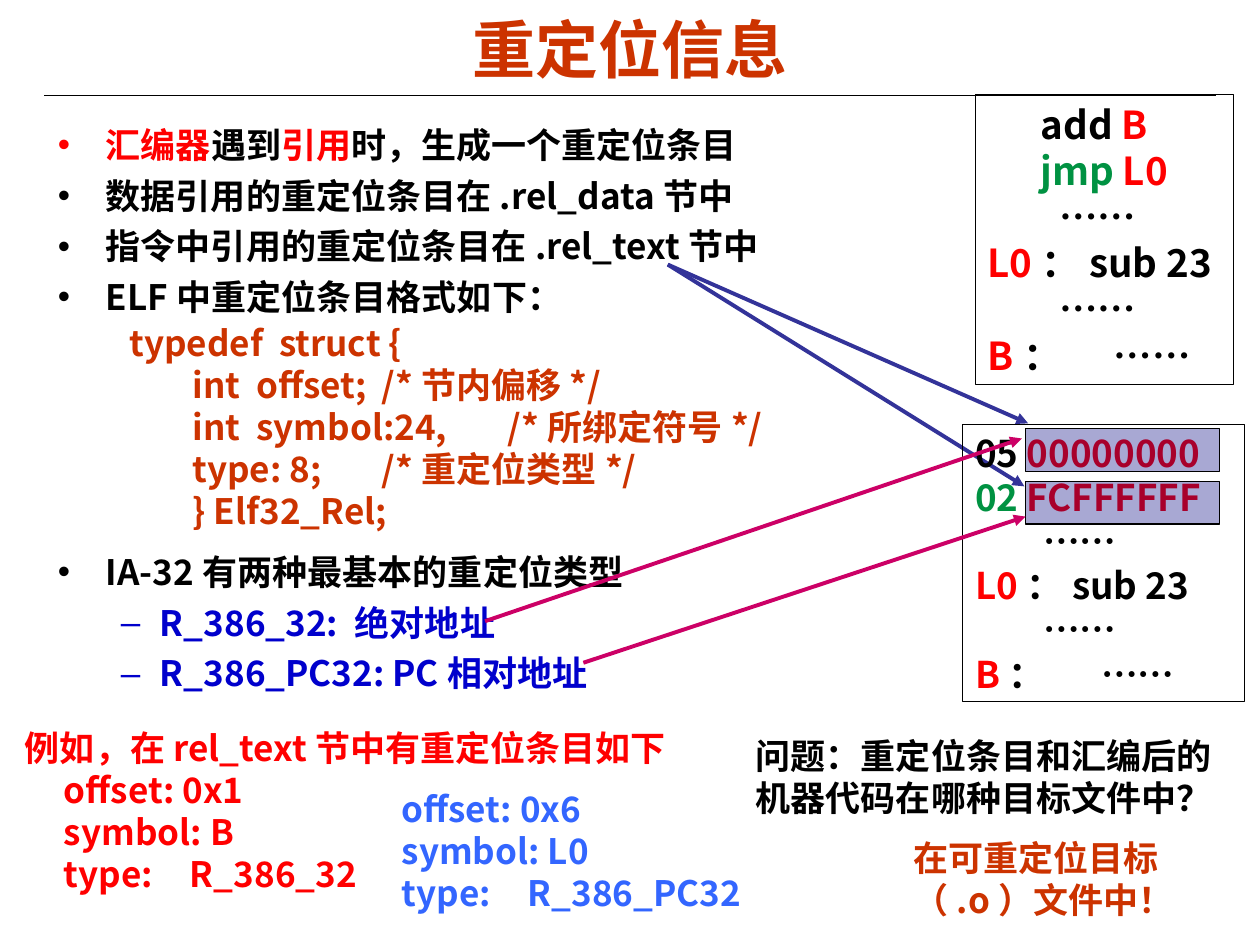
from lxml import etree
from pptx import Presentation
from pptx import util as u
from pptx.dml.color import RGBColor
from pptx.enum import shapes, text
from pptx.oxml import ns

COLORS = {"black": "000000", "red": "FF0000", "rust": "CC3300", "blue": "0000CC",
          "sky": "3366FF", "green": "009242", "navy": "000080", "indigo": "333399",
          "magenta": "CC0066"}
COLS, ROWS = 100, 75
CJK = "Noto Sans CJK SC"


def rgb(name):
    return RGBColor.from_string(COLORS[name])


def add_xml(parent, tag, **attrs):
    return etree.SubElement(parent, ns.qn(tag), attrs)


class Deck:
    def __init__(self, width=10, height=7.5):
        self.prs = Presentation()
        self.prs.slide_width, self.prs.slide_height = u.Inches(width), u.Inches(height)
        self.s = self.prs.slides.add_slide(self.prs.slide_layouts[1])
        self.style = {"size": u.Pt(20), "bold": True, "name": CJK}

    def x(self, cols):
        return int(self.prs.slide_width * cols / COLS)

    def y(self, rows):
        return int(self.prs.slide_height * rows / ROWS)

    def area(self, left, top, width, height):
        return self.x(left), self.y(top), self.x(width), self.y(height)

    def place(self, sp, area):
        for name, value in zip(("left", "top", "width", "height"), self.area(*area)):
            setattr(sp, name, value)

    def frame(self, sp, anchor=text.MSO_ANCHOR.TOP):
        tf = sp.text_frame
        values = {"word_wrap": True, "auto_size": text.MSO_AUTO_SIZE.NONE,
                  "vertical_anchor": anchor, "margin_left": self.x(1),
                  "margin_right": self.x(1), "margin_top": self.y(0.5),
                  "margin_bottom": self.y(0.5)}
        for name, value in values.items():
            setattr(tf, name, value)
        return tf

    def para(self, tf, runs, first, before=0, indent=0, hang=0, bullet=None,
             tabs=(), align=text.PP_ALIGN.LEFT, level=0, **fmt):
        p = tf.paragraphs[0] if first else tf.add_paragraph()
        p.level, p.alignment = level, align
        p.space_before = u.Pt(0 if first else before)
        pPr = p._p.get_or_add_pPr()
        pPr.set("marL", str(self.x(indent)))
        pPr.set("indent", str(-self.x(hang)))
        if bullet:
            char, color = bullet
            add_xml(add_xml(pPr, "a:buClr"), "a:srgbClr", val=COLORS[color])
            add_xml(pPr, "a:buChar", char=char)
        if tabs:
            stops = add_xml(pPr, "a:tabLst")
            for pos in tabs:
                add_xml(stops, "a:tab", pos=str(self.x(pos)), algn="l")
        for words, color in runs:
            r = p.add_run()
            r.text = words
            for name, value in {**self.style, **fmt}.items():
                setattr(r.font, name, value)
            r.font.color.rgb = rgb(color)
            add_xml(r._r.get_or_add_rPr(), "a:ea", typeface=CJK)

    def fill_text(self, tf, lines, **fmt):
        for i, (runs, options) in enumerate(lines):
            self.para(tf, runs, i == 0, **{**fmt, **options})

    def title(self, area, words):
        sp = self.s.shapes.title
        self.place(sp, area)
        self.para(self.frame(sp, text.MSO_ANCHOR.MIDDLE), [(words, "rust")], True,
                  align=text.PP_ALIGN.CENTER, name="Arial", size=u.Pt(36))

    def body(self, area, lines):
        sp = self.s.placeholders[1]
        self.place(sp, area)
        self.fill_text(self.frame(sp), lines, before=5)

    def textbox(self, area, lines, **fmt):
        sp = self.s.shapes.add_textbox(*self.area(*area))
        self.fill_text(self.frame(sp), lines, **fmt)

    def box(self, area, lines=(), fill=None, alpha=34, **fmt):
        sp = self.s.shapes.add_shape(shapes.MSO_SHAPE.RECTANGLE, *self.area(*area))
        sp.shadow.inherit = False
        sp.line.color.rgb, sp.line.width = rgb("black"), u.Pt(0.75)
        if fill:
            sp.fill.solid()
            sp.fill.fore_color.rgb = rgb(fill)
            clr = sp._element.spPr.find(".//" + ns.qn("a:solidFill"))[0]
            add_xml(clr, "a:alpha", val=str(alpha * 1000))
        else:
            sp.fill.background()
        self.fill_text(self.frame(sp), lines, **fmt)

    def line(self, start, end, color, width=2.25, arrow=True):
        (x1, y1), (x2, y2) = start, end
        c = self.s.shapes.add_connector(shapes.MSO_CONNECTOR.STRAIGHT, self.x(x1),
                                        self.y(y1), self.x(x2), self.y(y2))
        c.line.color.rgb, c.line.width = rgb(color), u.Pt(width)
        if arrow:
            add_xml(c.line._get_or_add_ln(), "a:tailEnd", type="triangle")
        add_xml(c._element.spPr, "a:effectLst")


def bullet(*runs, color="black", **options):
    return runs, {"indent": 3.8, "hang": 3.8, "bullet": ("•", color), **options}


def dash(words):
    return [(words, "blue")], {"indent": 8.1, "hang": 3.1, "level": 1,
                               "bullet": ("–", "blue")}


def entry(offset, symbol, kind, color, indent=0):
    fields = (f"offset: {offset}", f"symbol: {symbol}", f"type:\t{kind}")
    return [([(field, color)], {"indent": indent, "tabs": [indent + 8.4]})
            for field in fields]


def listing(first, second, code_indent, dots_indent, dots_tab):
    dots = [("……", "black")], {"indent": dots_indent}
    return [(first, {"indent": code_indent}), (second, {"indent": code_indent}), dots,
            ([("L0", "red"), ("：sub 23", "black")], {}), dots,
            ([("B", "red"), ("：\t……", "black")], {"tabs": [dots_tab]})]


def main():
    d = Deck()
    d.line((3.5, 7.6), (96.5, 7.6), "black", 0.75, arrow=False)
    d.title((5, 0.8, 90, 6.1), "重定位信息")
    d.body((3.6, 9.3, 93.2, 49.7), [
        bullet(("汇编器", "red"), ("遇到", "black"), ("引用", "red"),
               ("时，生成一个重定位条目", "black"), color="red"),
        bullet(("数据引用的重定位条目在.rel_data节中", "black")),
        bullet(("指令中引用的重定位条目在.rel_text节中", "black")),
        bullet(("ELF中重定位条目格式如下：", "black")),
        bullet(("IA-32有两种最基本的重定位类型", "black"), before=133),
        dash("R_386_32: 绝对地址"),
        dash("R_386_PC32: PC相对地址")])

    code = [("typedef  struct {", []),
            ("\tint  offset;\t/*节内偏移*/", [10, 30.2]),
            ("\tint  symbol:24,\t/*所绑定符号*/", [10, 31.4]),
            ("\ttype: 8;\t/*重定位类型*/", [12.6, 27.2]),
            ("\t} Elf32_Rel;", [10])]
    d.textbox((9.3, 25, 54.8, 17.7),
              [([(words, "rust")], {"tabs": tabs}) for words, tabs in code])
    d.textbox((1, 57.2, 53.6, 14.4),
              [([("例如，在rel_text节中有重定位条目如下", "red")], {})]
              + entry("0x1", "B", "R_386_32", "red", 3.1))

    d.box((77.4, 7.5, 20.5, 23),
          listing([("add ", "black"), ("B", "red")], [("jmp ", "green"), ("L0", "red")],
                  4.2, 5.7, 7.4), size=u.Pt(22))
    for end in ((81.3, 38.6), (81.6, 33.6)):
        d.line((53, 21), end, "indigo")
    d.box((76.4, 33.7, 22.4, 22),
          listing([("05", "black"), (" 00000000", "red")],
                  [("02 ", "green"), ("FCFFFFFF", "red")], 0, 5.4, 7), size=u.Pt(21))
    for top in (34, 38.2):
        d.box((81.4, top, 15.4, 3.4), fill="navy")
    d.line((38.5, 49.3), (81.1, 34.8), "magenta")
    d.line((46.3, 52.6), (81.4, 41), "magenta")

    d.textbox((30.9, 62, 40.6, 11.1), entry("0x6", "L0", "R_386_PC32", "sky"))
    d.textbox((59, 57.8, 40.3, 7.7),
              [([("问题：重定位条目和汇编后的机器代码在哪种目标文件中？", "black")], {})],
              name="Arial")
    d.textbox((71.5, 65.9, 23.6, 7.7),
              [([("在可重定位目标（.o）文件中！", "rust")], {})])
    d.prs.save("out.pptx")


if __name__ == "__main__":
    main()
